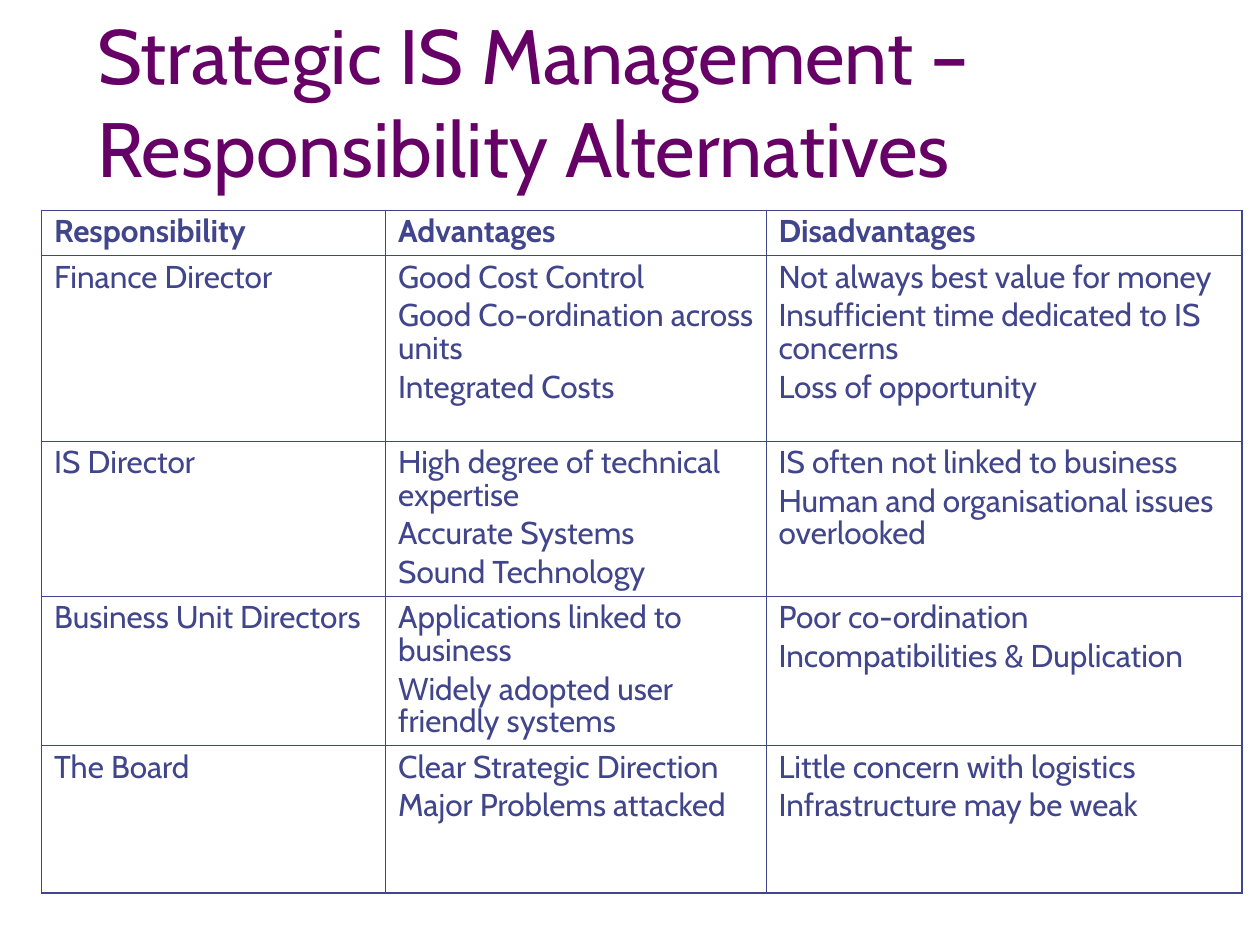
"""Builds a slide that compares who can be responsible for strategic IS management."""
from dataclasses import dataclass

from lxml import etree
from pptx import Presentation
from pptx.dml.color import RGBColor
from pptx.enum.text import MSO_ANCHOR, MSO_AUTO_SIZE, PP_ALIGN
from pptx.oxml.ns import qn
from pptx.util import Inches, Pt

LEFT = PP_ALIGN.LEFT
TOP, BOTTOM = MSO_ANCHOR.TOP, MSO_ANCHOR.BOTTOM
FIXED = MSO_AUTO_SIZE.NONE


@dataclass(frozen=True)
class Theme:
    font: str = "Cabin"
    head: str = "660066"
    ink: str = "40458C"
    big: int = 44
    body: int = 18
    thick: float = 1.08
    thin: float = 0.45


theme = Theme()


def write(frame, text, size, color, bold=False, lead=1.0, gap=0):
    for i, line in enumerate(text.split("\n")):
        para = frame.paragraphs[0] if i == 0 else frame.add_paragraph()
        para.alignment = LEFT
        para.line_spacing = lead
        para.space_before = Pt(gap if i else 0)
        run = para.add_run()
        run.text = line
        run.font.name = theme.font
        run.font.size = Pt(size)
        run.font.bold = bold
        run.font.color.rgb = RGBColor.from_string(color)


def rule(cell, side, width):
    line = etree.SubElement(cell._tc.get_or_add_tcPr(), qn(f"a:ln{side}"), w=str(Pt(width)))
    fill = etree.SubElement(line, qn("a:solidFill"))
    etree.SubElement(fill, qn("a:srgbClr"), val=theme.ink)


deck = Presentation()
deck.slide_width, deck.slide_height = Inches(10), Inches(7.5)
slide = deck.slides.add_slide(deck.slide_layouts[5])

title = slide.shapes.title
title.left, title.top = Inches(0.67), Inches(0.33)
title.width, title.height = Inches(8.5), Inches(1.25)
frame = title.text_frame
frame.word_wrap = True
frame.auto_size = FIXED
frame.vertical_anchor = BOTTOM
write(frame, "Strategic IS Management – Responsibility Alternatives",
      size=theme.big, color=theme.head)

rows = [
    ("Responsibility", "Advantages", "Disadvantages"),
    ("Finance Director",
     "Good Cost Control\nGood Co-ordination across units\nIntegrated Costs",
     "Not always best value for money\n"
     "Insufficient time dedicated to IS concerns\nLoss of opportunity"),
    ("IS Director",
     "High degree of technical expertise\nAccurate Systems\nSound Technology",
     "IS often not linked to business\nHuman and organisational issues overlooked"),
    ("Business Unit Directors",
     "Applications linked to business\nWidely adopted user friendly systems",
     "Poor co-ordination\nIncompatibilities & Duplication"),
    ("The Board",
     "Clear Strategic Direction\nMajor Problems attacked",
     "Little concern with logistics\nInfrastructure may be weak"),
]
widths = [2.73, 3.02, 3.78]
heights = [0.36, 1.47, 1.22, 1.17, 1.17]

table = slide.shapes.add_table(
    len(rows), len(widths), Inches(0.33), Inches(1.67),
    Inches(sum(widths)), Inches(sum(heights))).table
table.first_row = table.horz_banding = False
for col, width in zip(table.columns, widths):
    col.width = Inches(width)

for r, (row, height) in enumerate(zip(rows, heights)):
    table.rows[r].height = Inches(height)
    for c, text in enumerate(row):
        cell = table.cell(r, c)
        cell.margin_left = cell.margin_right = Inches(0.1)
        cell.margin_top = cell.margin_bottom = Inches(0.05)
        cell.vertical_anchor = TOP
        edges = {"L": c == 0, "R": c == len(widths) - 1,
                 "T": r == 0, "B": r == len(rows) - 1}
        for side, outer in edges.items():
            rule(cell, side, theme.thick if outer else theme.thin)
        cell.fill.background()
        write(cell.text_frame, text, size=theme.body, color=theme.ink,
              bold=r == 0, lead=0.85, gap=3.4)

deck.save("out.pptx")
